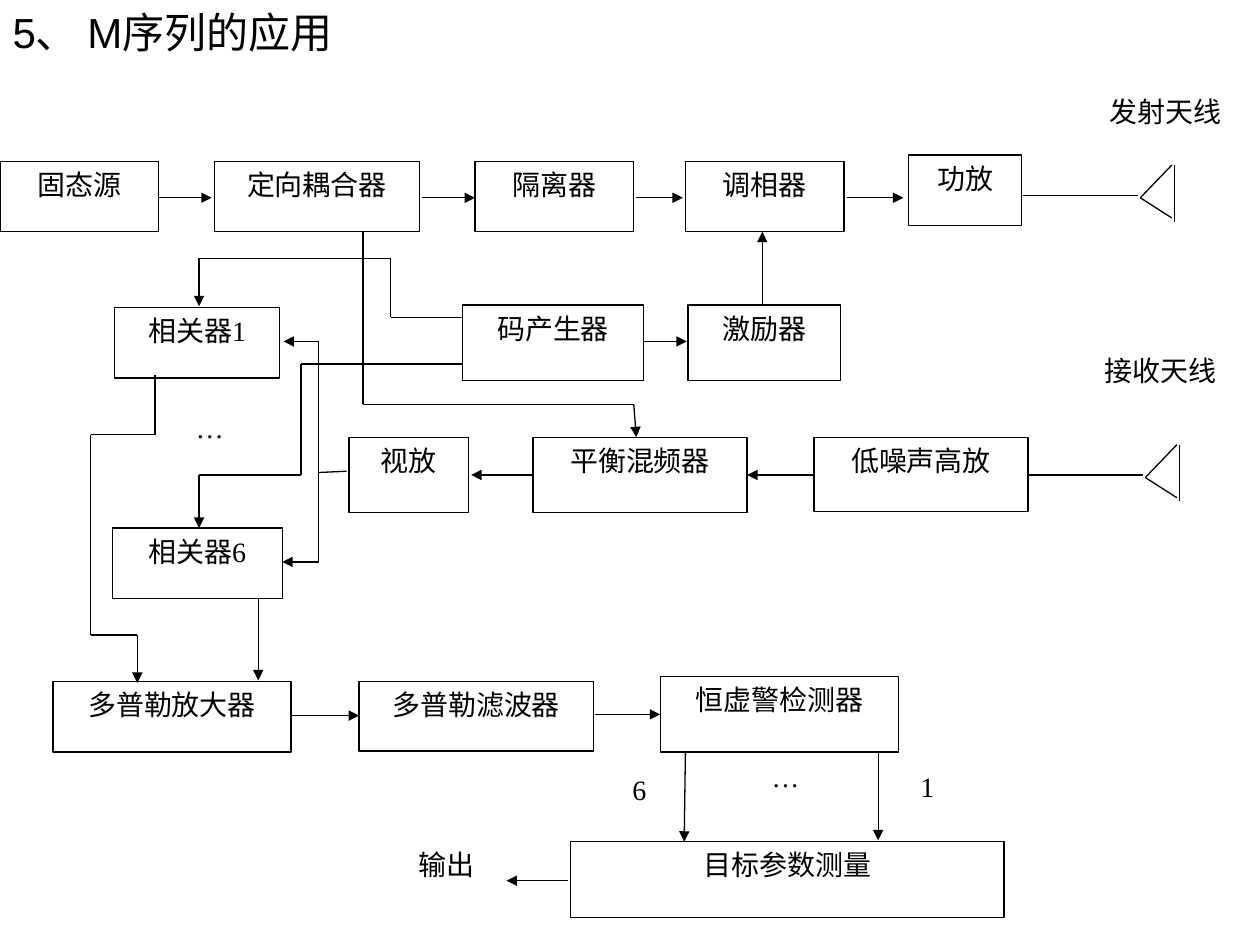
from dataclasses import dataclass
from itertools import pairwise

from pptx import Presentation
from pptx.dml.color import RGBColor
from pptx.enum.shapes import MSO_CONNECTOR, MSO_SHAPE
from pptx.enum.text import MSO_ANCHOR, MSO_AUTO_SIZE, PP_ALIGN
from pptx.oxml.ns import qn
from pptx.oxml.xmlchemy import OxmlElement
from pptx.slide import Slide
from pptx.text.text import _Paragraph as Paragraph
from pptx.util import Emu, Pt

PX = 9144  # 100 px to the inch


@dataclass(frozen=True)
class Theme:
    ink: RGBColor = RGBColor(0, 0, 0)
    paper: RGBColor = RGBColor(255, 255, 255)
    heading_font: str = "Arial"
    label_font: str = "Times New Roman"
    heading_size: int = 24
    label_size: int = 16
    line_width: float = 0.75


@dataclass(frozen=True)
class Block:
    text: str
    x: int
    y: int
    w: int
    h: int
    outlined: bool = True


@dataclass(frozen=True)
class Wire:
    points: tuple[tuple[int, int], ...]
    arrow: bool = True


THEME = Theme()

BLOCKS = [
    Block("固态源", 0, 128, 126, 56),
    Block("定向耦合器", 170, 128, 163, 56),
    Block("隔离器", 377, 128, 126, 56),
    Block("调相器", 544, 128, 126, 56),
    Block("功放", 721, 123, 90, 56),
    Block("相关器1", 91, 244, 131, 56),
    Block("码产生器", 367, 242, 144, 60),
    Block("激励器", 546, 242, 121, 60),
    Block("视放", 277, 347, 95, 60),
    Block("平衡混频器", 423, 347, 170, 60),
    Block("低噪声高放", 646, 347, 170, 59),
    Block("相关器6", 89, 419, 135, 56),
    Block("多普勒放大器", 42, 541, 189, 56),
    Block("多普勒滤波器", 285, 541, 186, 55),
    Block("恒虚警检测器", 524, 537, 189, 60),
    Block("目标参数测量", 453, 668, 344, 60),
    Block("发射天线", 856, 70, 138, 60, outlined=False),
    Block("接收天线", 842, 276, 158, 60, outlined=False),
    Block("…", 126, 321, 81, 74, outlined=False),
    Block("输出", 307, 668, 95, 60, outlined=False),
    Block("···", 576, 604, 95, 51, outlined=False),
    Block("1", 714, 606, 44, 51, outlined=False),
    Block("6", 481, 608, 53, 51, outlined=False),
]

WIRES = [
    # transmit chain
    Wire(((126, 157), (168, 157))),
    Wire(((335, 157), (377, 157))),
    Wire(((505, 157), (542, 157))),
    Wire(((672, 157), (717, 157))),
    Wire(((812, 155), (903, 155)), arrow=False),
    # code generator, exciter and correlators
    Wire(((510, 271), (545, 271))),
    Wire(((605, 242), (605, 184))),
    Wire(((367, 252), (310, 252), (310, 205), (158, 205), (158, 243))),
    Wire(((367, 289), (239, 289), (239, 377), (158, 377), (158, 419))),
    # receive chain
    Wire(((816, 377), (907, 377)), arrow=False),
    Wire(((646, 377), (593, 377))),
    Wire(((423, 377), (374, 377))),
    Wire(((288, 184), (288, 321), (503, 321), (505, 347))),
    Wire(((275, 374), (253, 375)), arrow=False),
    Wire(((253, 375), (253, 271), (225, 271))),
    Wire(((253, 375), (253, 446), (224, 446))),
    # Doppler processing and output
    Wire(((123, 298), (123, 345), (72, 345), (72, 504), (109, 504), (109, 542))),
    Wire(((205, 475), (205, 540))),
    Wire(((232, 568), (285, 568))),
    Wire(((472, 567), (524, 567))),
    Wire(((544, 597), (543, 668))),
    Wire(((697, 597), (697, 667))),
    Wire(((451, 699), (402, 699))),
]

ANTENNA_TIPS = [(905, 157), (909, 379)]


def style_text(p: Paragraph, font: str, size: int) -> None:
    for r in p.runs:
        r.font.name = font
        r.font.size = Pt(size)
        r.font.color.rgb = THEME.ink


def add_heading(s: Slide, text: str) -> None:
    title, body = s.shapes.title, s.placeholders[1]
    title.element.getparent().remove(title.element)
    body.left = body.top = Emu(0)
    body.width, body.height = Emu(1000 * PX), Emu(750 * PX)
    tf = body.text_frame
    tf.auto_size = MSO_AUTO_SIZE.NONE
    tf.text = text
    p = tf.paragraphs[0]
    p.space_before = Pt(6)
    pPr = p._p.get_or_add_pPr()
    pPr.set("marL", str(38 * PX))
    pPr.set("indent", str(-38 * PX))
    pPr.append(OxmlElement("a:buNone"))
    style_text(p, THEME.heading_font, THEME.heading_size)


def add_block(s: Slide, block: Block) -> None:
    box = (Emu(v * PX) for v in (block.x, block.y, block.w, block.h))
    sp = s.shapes.add_shape(MSO_SHAPE.RECTANGLE, *box)
    sp.shadow.inherit = False
    sp.fill.solid()
    sp.fill.fore_color.rgb = THEME.paper
    if block.outlined:
        sp.line.color.rgb = THEME.ink
        sp.line.width = Pt(THEME.line_width)
    else:
        sp.line.fill.background()
    tf = sp.text_frame
    tf.word_wrap = True
    tf.vertical_anchor = MSO_ANCHOR.TOP
    tf.text = block.text
    p = tf.paragraphs[0]
    p.alignment = PP_ALIGN.CENTER
    style_text(p, THEME.label_font, THEME.label_size)


def add_wire(s: Slide, wire: Wire) -> None:
    """Draw straight segments, with the arrowhead on the last one."""
    for start, end in pairwise(wire.points):
        ends = (Emu(v * PX) for v in (*start, *end))
        line = s.shapes.add_connector(MSO_CONNECTOR.STRAIGHT, *ends)
        line.line.color.rgb = THEME.ink
        line.line.width = Pt(THEME.line_width)
        if wire.arrow and end == wire.points[-1]:
            tail = OxmlElement("a:tailEnd")
            tail.set("type", "triangle")
            line.line._get_or_add_ln().append(tail)
        line.element.find(qn("p:spPr")).append(OxmlElement("a:effectLst"))


def add_antenna(s: Slide, x: int, y: int) -> None:
    add_wire(s, Wire(((x + 25, y - 26), (x, y), (x + 25, y + 16)), arrow=False))
    add_wire(s, Wire(((x + 27, y - 26), (x + 27, y + 19)), arrow=False))


def main() -> None:
    prs = Presentation()
    prs.slide_width, prs.slide_height = Emu(1000 * PX), Emu(750 * PX)
    s = prs.slides.add_slide(prs.slide_layouts[1])
    add_heading(s, "5、 M序列的应用")
    for block in BLOCKS:
        add_block(s, block)
    for wire in WIRES:
        add_wire(s, wire)
    for x, y in ANTENNA_TIPS:
        add_antenna(s, x, y)
    prs.save("out.pptx")


if __name__ == "__main__":
    main()
